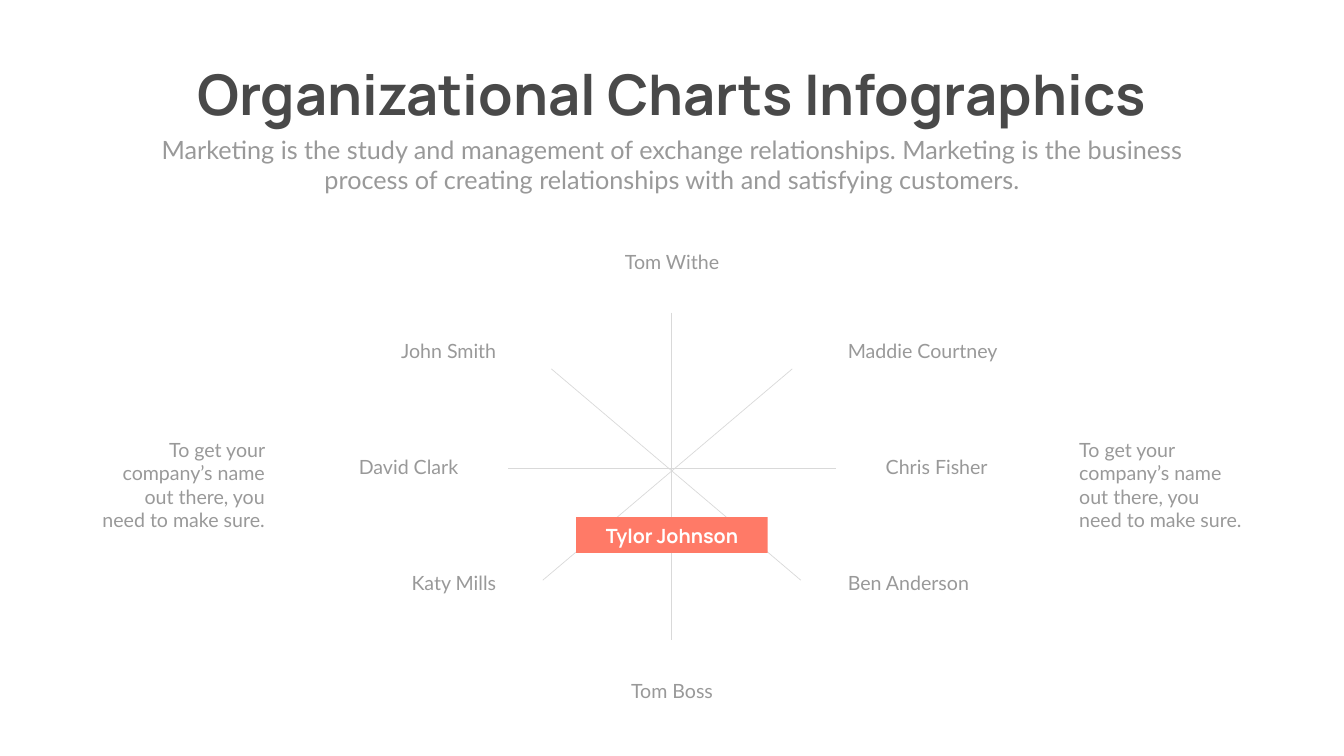
from pptx import Presentation
from pptx.dml.color import RGBColor
from pptx.enum.shapes import MSO_CONNECTOR, MSO_SHAPE
from pptx.enum.text import MSO_AUTO_SIZE, PP_ALIGN
from pptx.oxml.ns import qn
from pptx.util import Cm, Pt
from lxml import etree

PAGE_WIDTH, PAGE_HEIGHT = 67.72, 38.1
GREY, DARK, RULE, CORAL, WHITE = "999999", "494949", "D9D9D9", "FF7A67", "FFFFFF"
LEFT, CENTER, RIGHT = PP_ALIGN.LEFT, PP_ALIGN.CENTER, PP_ALIGN.RIGHT
NOTE = "To get your company’s name out there, you need to make sure."


def color(value):
    return RGBColor.from_string(value)


def add_text(page, text, left, top, width, height, *, size=28, font="Lato",
             fill=GREY, bold=False, align=LEFT, wrap=True, inset=None):
    box = page.shapes.add_textbox(Cm(left), Cm(top), Cm(width), Cm(height))
    frame = box.text_frame
    frame.word_wrap = wrap
    frame.auto_size = MSO_AUTO_SIZE.SHAPE_TO_FIT_TEXT
    if inset is not None:
        frame.margin_left = frame.margin_right = Cm(inset)
        frame.margin_top = frame.margin_bottom = Cm(inset)
    para = frame.paragraphs[0]
    para.alignment = align
    span = para.add_run()
    span.text = text
    span.font.name = font
    span.font.size = Pt(size)
    span.font.bold = bold
    span.font.color.rgb = color(fill)


def add_line(page, x1, y1, x2, y2):
    line = page.shapes.add_connector(
        MSO_CONNECTOR.STRAIGHT, Cm(x1), Cm(y1), Cm(x2), Cm(y2))
    line.line.color.rgb = color(RULE)
    line.line.width = Pt(1)
    etree.SubElement(line._element.spPr, qn("a:effectLst"))


def add_header(page, left, top, width):
    add_text(page, "Organizational Charts Infographics", left + 0.25, top,
             width - 0.5, 3.68, size=80, font="Manrope", fill=DARK, bold=True,
             align=CENTER, wrap=False)
    add_text(page, "Marketing is the study and management of exchange relationships. "
             "Marketing is the business process of creating relationships with and "
             "satisfying customers.", left, top + 3.73, width, 3.33,
             size=36, align=CENTER)


def add_spokes(page, left, top, width, height):
    middle = left + width / 2
    # Diagonals mirror each other and spread slightly towards the bottom
    for side in (1, -1):
        add_line(page, middle + side * 6.07, top + 2.84,
                 middle - side * 6.5, top + 13.49)
    add_line(page, middle, top, middle, top + height)
    add_line(page, left, top + 7.85, left + width, top + 7.85)


def add_names(page, left, top, width, height):
    middle = left + width / 2
    row_top, row_pitch, row_height = top + 4.49, 5.86, 1.45
    gaps = (8.61, 10.52, 8.61)
    left_names = ("John Smith", "David Clark", "Katy Mills")
    right_names = (("Maddie Courtney", 8.26), ("Chris Fisher", 7.04),
                   ("Ben Anderson", 8.26))
    # Names on both sides, the middle row set further out
    for row, (gap, name, (other, other_width)) in enumerate(
            zip(gaps, left_names, right_names)):
        y = row_top + row * row_pitch
        add_text(page, name, middle - gap - 7.04, y, 7.04, row_height, align=RIGHT)
        add_text(page, other, middle + gap, y, other_width, row_height)
    # Names above and below
    for name, y in (("Tom Withe", top), ("Tom Boss", top + height - row_height)):
        add_text(page, name, middle - 4.13, y, 8.26, row_height, align=CENTER)


def add_notes(page, left, top, width, height):
    note_width = 8.89
    add_text(page, NOTE, left, top, note_width, height, align=RIGHT)
    add_text(page, NOTE, left + width - note_width, top, note_width, height)


def add_leader(page, left, top, width, height):
    bar = page.shapes.add_shape(
        MSO_SHAPE.RECTANGLE, Cm(left), Cm(top), Cm(width), Cm(height))
    bar.shadow.inherit = False
    bar.fill.solid()
    bar.fill.fore_color.rgb = color(CORAL)
    bar.line.fill.background()
    add_text(page, "Tylor Johnson", left + 0.52, top + 0.2, width - 1.04, 1.47,
             font="Manrope", fill=WHITE, bold=True, align=CENTER, inset=0.15)


def main():
    deck = Presentation()
    deck.slide_width, deck.slide_height = Cm(PAGE_WIDTH), Cm(PAGE_HEIGHT)
    page = deck.slides.add_slide(deck.slide_layouts[6])
    add_spokes(page, 25.6, 15.75, 16.5, 16.48)
    add_header(page, 7.42, 2.9, 52.88)
    add_names(page, 16.31, 12.45, 35.1, 23.09)
    add_notes(page, 4.7, 21.92, 58.32, 5.05)
    add_leader(page, 29.03, 26.06, 9.65, 1.8)
    deck.save("out.pptx")


if __name__ == "__main__":
    main()
